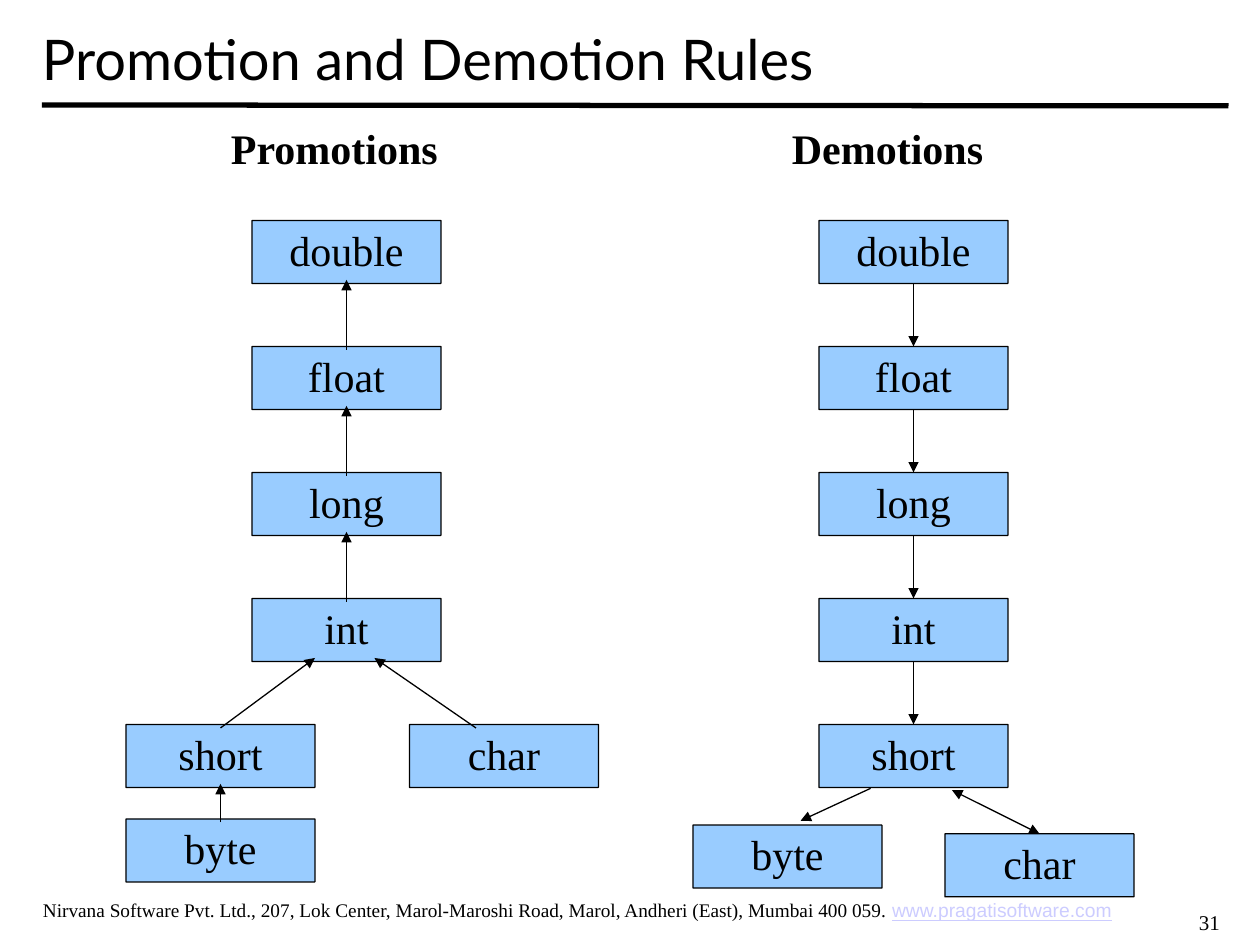
"""Build a slide that compares type promotion and demotion rules."""
from lxml import etree
from pptx import Presentation
from pptx.dml.color import RGBColor
from pptx.enum.shapes import MSO_CONNECTOR, MSO_SHAPE
from pptx.enum.text import MSO_ANCHOR, PP_ALIGN
from pptx.oxml.ns import qn
from pptx.util import Pt

STRAIGHT = MSO_CONNECTOR.STRAIGHT
BOX = MSO_SHAPE.ROUNDED_RECTANGLE
TOP, MIDDLE = MSO_ANCHOR.TOP, MSO_ANCHOR.MIDDLE
LEFT, CENTER = PP_ALIGN.LEFT, PP_ALIGN.CENTER
SIDE_TOP, SIDE_BOTTOM = 0, 2

BLACK = RGBColor(0x00, 0x00, 0x00)
SERIF = "Times New Roman"
THEME = {
    "fill": RGBColor(0x99, 0xCC, 0xFF),
    "line": BLACK,
    "title": {"name": "Lato", "size": Pt(32), "color": BLACK},
    "heading": {"name": SERIF, "size": Pt(24), "bold": True, "color": BLACK},
    "box": {"name": SERIF, "size": Pt(24), "color": BLACK},
    "footer": {"name": SERIF, "size": Pt(11), "color": BLACK},
    "link": {"name": "Arial", "size": Pt(11), "underline": True,
             "color": RGBColor(0xCC, 0xCC, 0xFF)},
    "number": {"name": SERIF, "size": Pt(12), "color": BLACK},
}


def write(sp, runs, align=LEFT, anchor=TOP, inset=(0, 0), spacing=1.0):
    tf = sp.text_frame
    frame = {"word_wrap": True, "vertical_anchor": anchor,
             "margin_left": Pt(inset[0]), "margin_right": Pt(inset[0]),
             "margin_top": Pt(inset[1]), "margin_bottom": Pt(inset[1])}
    for key, value in frame.items():
        setattr(tf, key, value)
    p = tf.paragraphs[0]
    p.alignment, p.line_spacing = align, spacing
    for text, style in runs:
        r = p.add_run()
        r.text = text
        for key, value in THEME[style].items():
            if key == "color":
                r.font.color.rgb = value
            else:
                setattr(r.font, key, value)


def connect(x1, y1, x2, y2, width=0.75, ends=("tailEnd",)):
    cx = s.shapes.add_connector(STRAIGHT, Pt(x1), Pt(y1), Pt(x2), Pt(y2))
    cx.line.color.rgb = THEME["line"]
    cx.line.width = Pt(width)
    ln = cx.line._get_or_add_ln()
    for end in ends:
        etree.SubElement(ln, qn("a:" + end), type="triangle")
    etree.SubElement(cx._element.spPr, qn("a:effectLst"))
    return cx


prs = Presentation()
prs.slide_width, prs.slide_height = Pt(720), Pt(540)
s = prs.slides.add_slide(prs.slide_layouts[6])

connect(24, 60, 702, 60.5, width=3, ends=())

footer = s.shapes.add_textbox(Pt(0), Pt(510), Pt(660), Pt(21))
write(footer, [
    ("Nirvana Software Pvt. Ltd., 207, Lok Center, Marol-Maroshi Road, Marol, "
     "Andheri (East), Mumbai 400 059. ", "footer"),
    ("www.pragatisoftware.com", "link"),
], CENTER, inset=(7.2, 3.6))

number = s.shapes.add_textbox(Pt(678), Pt(516), Pt(39), Pt(22))
write(number, [("31", "number")], inset=(7.2, 3.6))

title = s.shapes.add_textbox(Pt(24), Pt(-6), Pt(684), Pt(78))
write(title, [("Promotion and Demotion Rules", "title")],
      anchor=MIDDLE, spacing=1.01)

for text, x in (("Promotions", 132), ("Demotions", 452.5)):
    heading = s.shapes.add_textbox(Pt(x), Pt(72), Pt(144), Pt(30))
    write(heading, [(text, "heading")], spacing=0.95)

CHAIN = ["double", "float", "long", "int", "short"]
BOX_W, BOX_H, FIRST_TOP, STEP = 108, 36, 126, 72
promotion = [(name, 144, FIRST_TOP + i * STEP)
             for i, name in enumerate(CHAIN[:4])]
promotion += [("short", 72, 414), ("char", 234, 414), ("byte", 72, 468)]
demotion = [(name, 468, FIRST_TOP + i * STEP) for i, name in enumerate(CHAIN)]
demotion += [("byte", 396, 471.5), ("char", 540, 476.5)]

boxes = {}
for side, nodes in (("promotion", promotion), ("demotion", demotion)):
    for name, x, y in nodes:
        sp = s.shapes.add_shape(BOX, Pt(x), Pt(y), Pt(BOX_W), Pt(BOX_H))
        sp.adjustments[0] = 0.001
        sp.shadow.inherit = False
        sp.fill.solid()
        sp.fill.fore_color.rgb = THEME["fill"]
        sp.line.color.rgb = THEME["line"]
        sp.line.width = Pt(0.75)
        write(sp, [(name, "box")], CENTER, MIDDLE, (1.5, 1.5), 0.95)
        boxes[side, name] = sp

for i in range(3):
    bottom = FIRST_TOP + i * STEP + BOX_H
    connect(198, bottom + 38, 198, bottom - 2)
connect(126, 470, 126, 448)
connect(126, 416, 180, 376)
connect(272, 416, 214, 376)

for i, (upper, lower) in enumerate(zip(CHAIN, CHAIN[1:])):
    y = FIRST_TOP + i * STEP + BOX_H
    cx = connect(522, y, 522, y + STEP - BOX_H)
    cx.begin_connect(boxes["demotion", upper], SIDE_BOTTOM)
    cx.end_connect(boxes["demotion", lower], SIDE_TOP)
connect(497.5, 450.5, 457.5, 469)
cx = connect(544, 451.5, 594, 476.5, ends=("headEnd", "tailEnd"))
cx.end_connect(boxes["demotion", "char"], SIDE_TOP)

prs.save("out.pptx")
